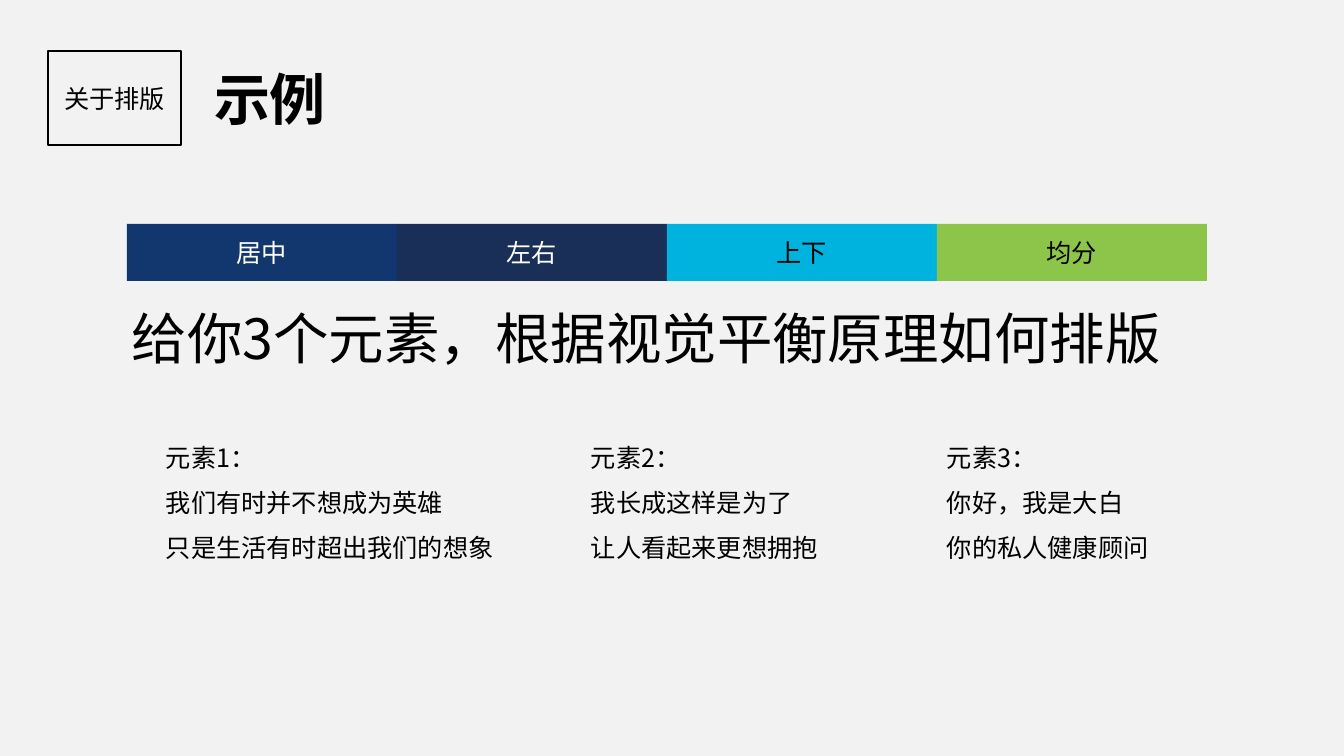
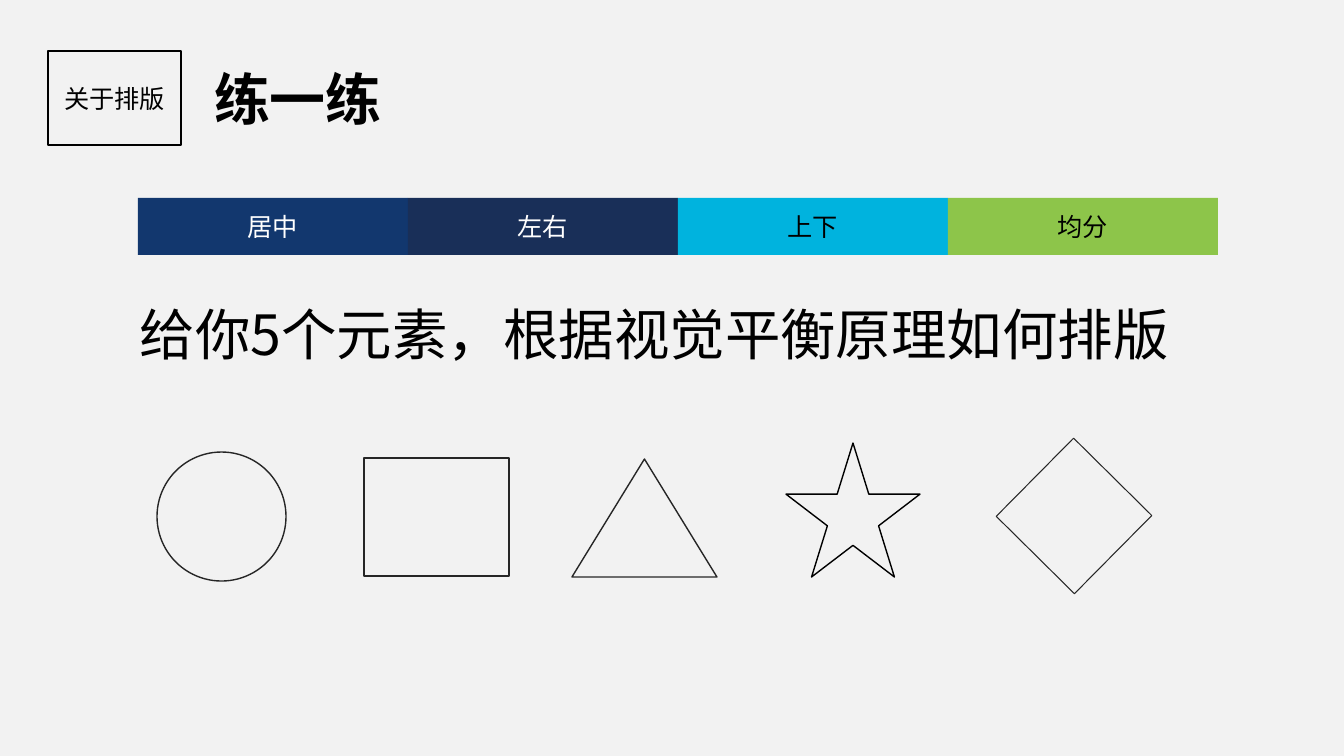
from dataclasses import dataclass

from lxml import etree
from pptx import Presentation
from pptx.dml.color import RGBColor
from pptx.enum.shapes import MSO_SHAPE
from pptx.enum.text import MSO_ANCHOR, MSO_AUTO_SIZE, PP_ALIGN
from pptx.oxml.ns import qn
from pptx.util import Pt

RECT, OVAL = MSO_SHAPE.RECTANGLE, MSO_SHAPE.OVAL
TRIANGLE, STAR = MSO_SHAPE.ISOSCELES_TRIANGLE, MSO_SHAPE.STAR_5_POINT
LEFT, CENTER, JUSTIFY = PP_ALIGN.LEFT, PP_ALIGN.CENTER, PP_ALIGN.JUSTIFY
TOP, MIDDLE = MSO_ANCHOR.TOP, MSO_ANCHOR.MIDDLE
NO_AUTOFIT = MSO_AUTO_SIZE.NONE

SLIDE_W, SLIDE_H = 1344, 756
EMU_PER_PX = 12192000 / SLIDE_W
TITLE_ONLY = 5


@dataclass(frozen=True)
class Theme:
    font: str = "Noto Sans CJK SC"
    paper: str = "F2F2F2"
    ink: str = "000000"
    outline: str = "262626"
    light: str = "FFFFFF"
    title_size: float = 40
    question_size: float = 39.6
    body_size: float = 18


T = Theme()

TAG = "关于排版"
TAG_BOX = (48, 51, 133, 94)
TITLE_BOX = (204, 59, 1000, 78)
QUESTION = "给你{}个元素，根据视觉平衡原理如何排版"
QUESTION_W, QUESTION_H = 1090, 100

# label, fill, text colour
BAND = [
    ("居中", "12376E", T.light),
    ("左右", "192F58", T.light),
    ("上下", "00B3DE", T.ink),
    ("均分", "8DC54A", T.ink),
]
BAND_CELL_W, BAND_H = 270, 57

SLIDES = [
    {"title": "示例", "band_at": (127, 224), "question_at": (122, 292), "count": 3},
    {"title": "练一练", "band_at": (138, 198), "question_at": (130, 288), "count": 5},
]

# left, width, lines
TEXT_ELEMENTS = [
    (156, 390, ["元素1：", "我们有时并不想成为英雄", "只是生活有时超出我们的想象"]),
    (581, 372, ["元素2：", "我长成这样是为了", "让人看起来更想拥抱"]),
    (937, 380, ["元素3：", "你好，我是大白", "你的私人健康顾问"]),
]
TEXT_TOP, TEXT_H = 422, 147

# shape, box, line colour, line width, rotation
SHAPE_ELEMENTS = [
    (OVAL, (157, 452, 129, 129), T.outline, 1, 0),
    (RECT, (364, 458, 145, 118), T.outline, 1, 0),
    (TRIANGLE, (572, 459, 145, 118), T.outline, 1, 0),
    (STAR, (786, 443, 134, 134), T.ink, 1, 0),
    (RECT, (1019, 461, 110, 110), T.outline, 0.75, 44.7),
]


def px(n):
    return round(n * EMU_PER_PX)


def rgb(value):
    return RGBColor.from_string(value)


def write(sp, lines, size=T.body_size, color=T.ink, bold=False, align=LEFT,
          anchor=TOP, spacing=1.0, wrap=True):
    """Put one paragraph per line into the shape, all in the same format."""
    tf = sp.text_frame
    tf.auto_size, tf.word_wrap, tf.vertical_anchor = NO_AUTOFIT, wrap, anchor
    for i, line in enumerate(lines):
        p = tf.add_paragraph() if i else tf.paragraphs[0]
        p.alignment, p.line_spacing = align, spacing
        r = p.add_run()
        r.text = line
        font = r.font
        font.name, font.size, font.bold = T.font, Pt(size), bold
        font.color.rgb = rgb(color)
        # East Asian glyphs take their own typeface element
        ea = etree.SubElement(r._r.get_or_add_rPr(), qn("a:ea"))
        ea.set("typeface", T.font)


def add_shape(s, kind, box, fill=None, line=None, line_width=1, rotation=0):
    sp = s.shapes.add_shape(kind, *map(px, box))
    sp.shadow.inherit = False
    sp.rotation = rotation
    if fill:
        sp.fill.solid()
        sp.fill.fore_color.rgb = rgb(fill)
    else:
        sp.fill.background()
    if line:
        sp.line.color.rgb = rgb(line)
        sp.line.width = Pt(line_width)
    else:
        sp.line.fill.background()
    return sp


def add_text(s, box, lines, **fmt):
    write(s.shapes.add_textbox(*map(px, box)), lines, **fmt)


def add_band(s, left, top):
    for i, (label, fill, color) in enumerate(BAND):
        box = (left + i * BAND_CELL_W, top, BAND_CELL_W, BAND_H)
        cell = add_shape(s, RECT, box, fill=fill)
        write(cell, [label], color=color, align=CENTER, anchor=MIDDLE)


def add_slide(prs, title, band_at, question_at, count):
    """Add a slide with everything the two slides share."""
    s = prs.slides.add_slide(prs.slide_layouts[TITLE_ONLY])
    heading = s.shapes.title
    heading.left, heading.top, heading.width, heading.height = map(px, TITLE_BOX)
    write(heading, [title], size=T.title_size, bold=True)
    tag = add_shape(s, RECT, TAG_BOX, line=T.ink)
    write(tag, [TAG], align=CENTER, anchor=MIDDLE, wrap=False)
    add_band(s, *band_at)
    add_text(s, (*question_at, QUESTION_W, QUESTION_H), [QUESTION.format(count)],
             size=T.question_size, align=JUSTIFY, anchor=MIDDLE, spacing=0.9)
    return s


def main():
    prs = Presentation()
    prs.slide_width, prs.slide_height = px(SLIDE_W), px(SLIDE_H)
    paper = prs.slide_master.background.fill
    paper.solid()
    paper.fore_color.rgb = rgb(T.paper)

    example, practice = [add_slide(prs, **content) for content in SLIDES]
    for left, width, lines in TEXT_ELEMENTS:
        add_text(example, (left, TEXT_TOP, width, TEXT_H), lines, spacing=1.5)
    for kind, box, line, line_width, rotation in SHAPE_ELEMENTS:
        add_shape(practice, kind, box, line=line, line_width=line_width,
                  rotation=rotation)
    prs.save("out.pptx")


if __name__ == "__main__":
    main()
